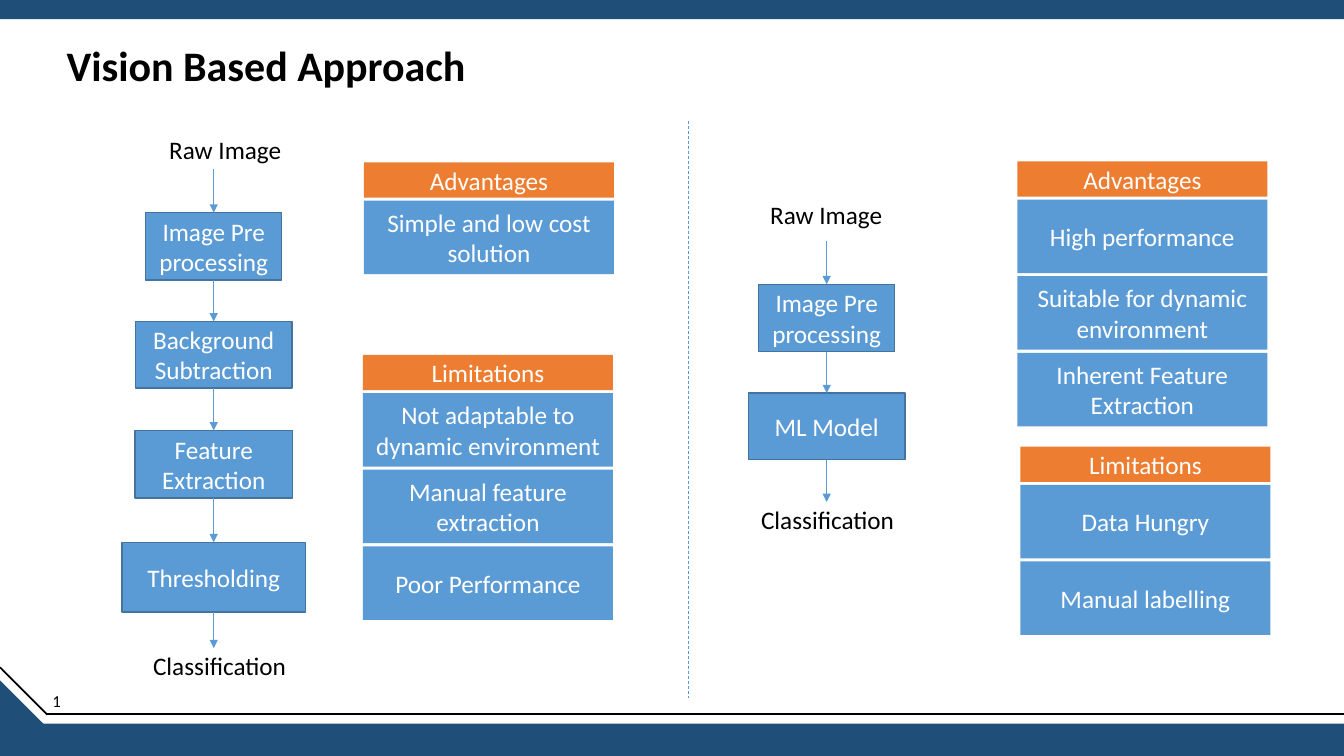
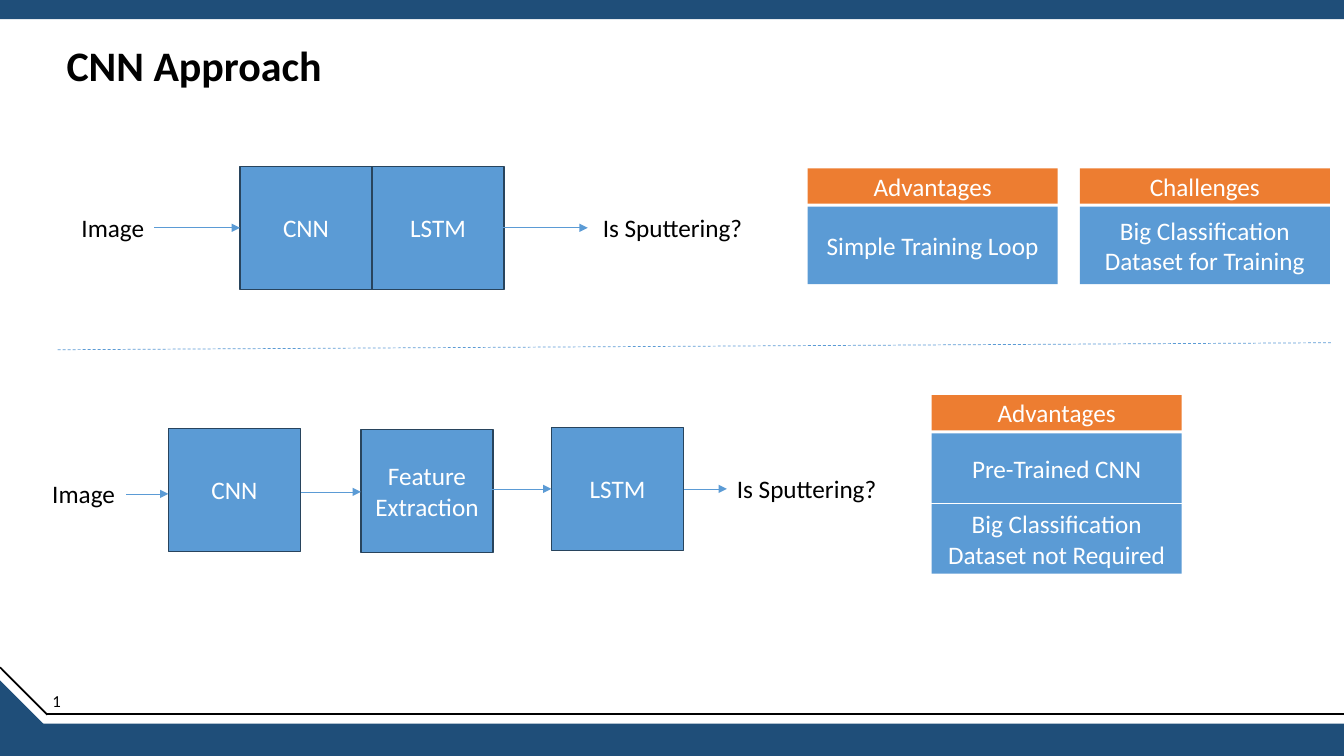
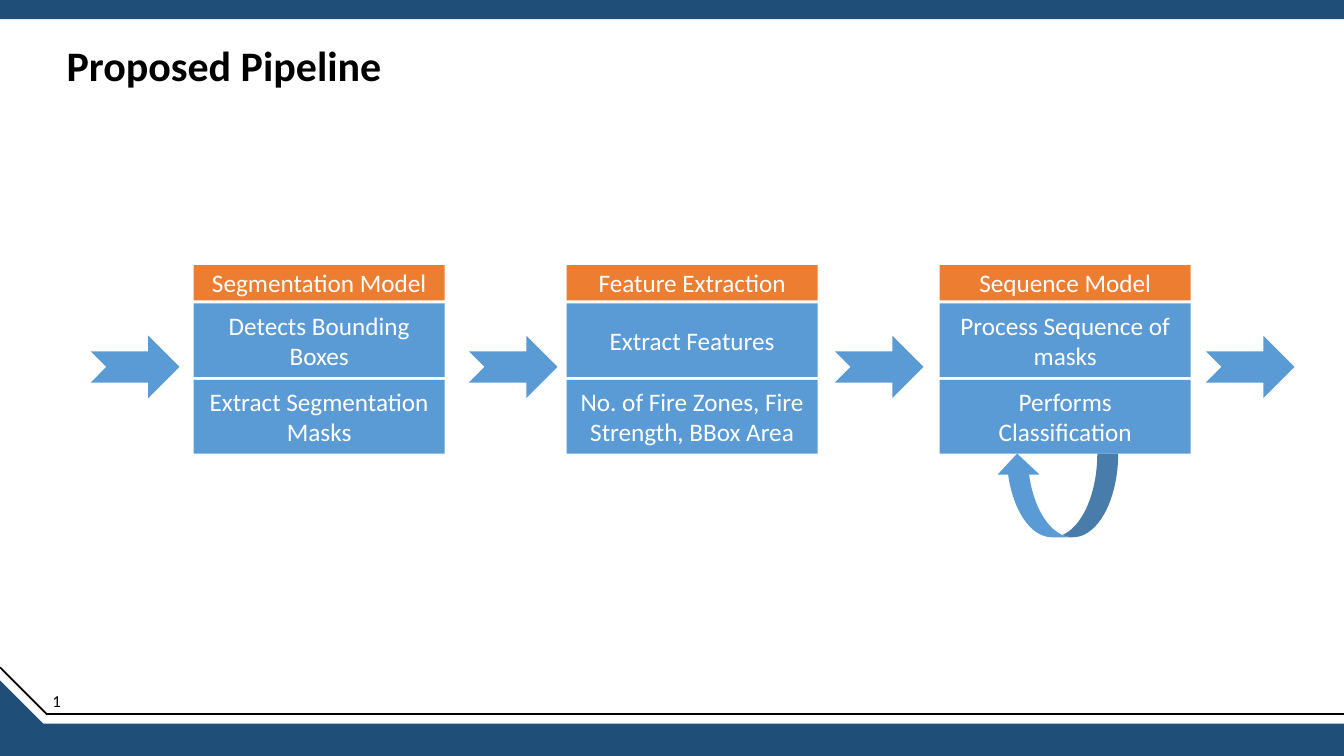
"""Build three slides on vision based approaches and a proposed pipeline."""
from dataclasses import dataclass
from lxml.etree import SubElement
from pptx import Presentation
from pptx.dml.color import RGBColor
from pptx.enum.dml import MSO_LINE
from pptx.enum.shapes import MSO_CONNECTOR, MSO_SHAPE
from pptx.enum.text import MSO_ANCHOR, MSO_AUTO_SIZE, PP_ALIGN
from pptx.oxml.ns import qn
from pptx.util import Inches, Pt


@dataclass(frozen=True)
class Theme:
    font: str = "Calibri"
    navy: str = "1F4E79"
    blue: str = "5B9BD5"
    orange: str = "ED7D31"
    edge: str = "43739E"
    dark: str = "28445D"
    black: str = "000000"
    white: str = "FFFFFF"
    title: int = 30
    body: int = 18
    small: int = 12
    thin: float = 0.5
    rule: float = 1.25


T = Theme()
WIDE, HIGH = 13.33, 7.5
HEAD, DROP = 0.35, 0.38
LABEL = 0.4
WIDTHS = {"Raw Image": 1.33, "Classification": 1.54, "Image": 0.83, "Is Sputtering?": 1.61}

FLOWS = [
    dict(mid=2.12, start=(1.58, 1.28), end=(1.42, 6.4), steps=[
        ("Image Pre processing", 2.11, 1.35, 0.67),
        ("Background Subtraction", 3.19, 1.55, 0.66),
        ("Feature Extraction", 4.27, 1.56, 0.67),
        ("Thresholding", 5.38, 1.82, 0.69)]),
    dict(mid=8.2, start=(7.54, 1.93), end=(7.45, 4.95), steps=[
        ("Image Pre processing", 2.82, 1.35, 0.67),
        ("ML Model", 3.9, 1.55, 0.66)]),
]
VISION = [
    (3.61, 1.61, "Advantages", ["Simple and low cost solution"]),
    (3.6, 3.52, "Limitations", ["Not adaptable to dynamic environment",
                                "Manual feature extraction", "Poor Performance"]),
    (10.09, 1.6, "Advantages", ["High performance", "Suitable for dynamic environment",
                                "Inherent Feature Extraction"]),
    (10.12, 4.43, "Limitations", ["Data Hungry", "Manual labelling"]),
]

NETS = [("CNN", 2.38, 1.65), ("LSTM", 3.69, 1.65), ("CNN", 1.67, 4.25),
        ("Feature Extraction", 3.58, 4.26), ("LSTM", 5.47, 4.24)]
LINKS = [(1.53, 2.38, 2.26), (4.99, 5.83, 2.26), (1.25, 1.67, 4.9),
         (2.99, 3.58, 4.88), (4.88, 5.47, 4.85), (6.78, 7.21, 4.85)]
ENDS = [("Image", 0.71, 2.06), ("Is Sputtering?", 5.88, 2.06),
        ("Image", 0.42, 4.7), ("Is Sputtering?", 7.21, 4.65)]
CNN = [
    (8.01, 1.67, "Advantages", ["Simple Training Loop"], 0.77, 0.77),
    (10.71, 1.67, "Challenges", ["Big Classification Dataset for Training"], 0.77, 0.77),
    (9.24, 3.92, "Advantages", ["Pre-Trained CNN",
                                "Big Classification Dataset not Required"], 0.69, 0.7),
]

STAGES = [
    ("Segmentation Model", ["Detects Bounding Boxes", "Extract Segmentation Masks"]),
    ("Feature Extraction", ["Extract Features", "No. of Fire Zones, Fire Strength, BBox Area"]),
    ("Sequence Model", ["Process Sequence of masks", "Performs Classification"]),
]
ARROWS = [0.9, 4.65, 8.28, 11.96]


def tint(code):
    return RGBColor.from_string(code)


def write(frame, text, size=T.body, color=T.white, bold=False, align=PP_ALIGN.CENTER,
          anchor=MSO_ANCHOR.MIDDLE, wrap=True, space=None):
    frame.word_wrap = wrap
    frame.auto_size = MSO_AUTO_SIZE.NONE
    frame.vertical_anchor = anchor
    para = frame.paragraphs[0]
    para.alignment = align
    para.line_spacing = space
    run = para.add_run()
    run.text = text
    font = run.font
    font.name, font.size, font.bold = T.font, Pt(size), bold
    font.color.rgb = tint(color)


def place(left, top, width, height):
    return [Inches(n) for n in (left, top, width, height)]


def block(slide, box, fill=T.blue, text="", edge=None, kind=MSO_SHAPE.RECTANGLE):
    shape = slide.shapes.add_shape(kind, *place(*box))
    shape.shadow.inherit = False
    shape.fill.solid()
    shape.fill.fore_color.rgb = tint(fill)
    if edge:
        shape.line.color.rgb = tint(edge)
        shape.line.width = Pt(1)
    else:
        shape.line.fill.background()
    if text:
        write(shape.text_frame, text)
    return shape


def label(slide, text, left, top, width, height=LABEL, **form):
    box = slide.shapes.add_textbox(*place(left, top, width, height))
    write(box.text_frame, text, color=T.black, align=PP_ALIGN.LEFT,
          anchor=MSO_ANCHOR.TOP, **form)


def line(slide, start, end, color=T.blue, width=T.thin, dash=False, arrow=False):
    link = slide.shapes.add_connector(
        MSO_CONNECTOR.STRAIGHT, *[Inches(n) for n in (*start, *end)])
    link.line.color.rgb = tint(color)
    link.line.width = Pt(width)
    if dash:
        link.line.dash_style = MSO_LINE.DASH
    props = link.element.spPr
    if arrow:
        SubElement(props.get_or_add_ln(), qn("a:tailEnd"), type="triangle")
    SubElement(props, qn("a:effectLst"))


def card(slide, left, top, head, items, high=0.73, step=0.76, wide=2.48):
    block(slide, (left, top, wide, HEAD), T.orange, head)
    for i, item in enumerate(items):
        block(slide, (left, top + DROP + i * step, wide, high), text=item)


def flow(slide, mid, start, end, steps):
    label(slide, "Raw Image", *start, WIDTHS["Raw Image"], wrap=False)
    last = steps[0][1] - 0.43
    for text, top, wide, high in steps:
        block(slide, (mid - wide / 2, top, wide, high), text=text, edge=T.edge)
        line(slide, (mid, last), (mid, top), arrow=True)
        last = top + high
    line(slide, (mid, last), (mid, end[1] + 0.03), arrow=True)
    label(slide, "Classification", *end, WIDTHS["Classification"], wrap=False)


def base(deck, text):
    slide = deck.slides.add_slide(deck.slide_layouts[5])
    title = slide.shapes.title
    title.left, title.top, title.width, title.height = place(0.56, 0.4, 11.86, 0.55)
    write(title.text_frame, text, size=T.title, color=T.black, bold=True,
          align=PP_ALIGN.LEFT, space=0.9)
    block(slide, (0, 7.18, WIDE, 0.32), T.navy)
    block(slide, (0, 0, WIDE, 0.19), T.navy)
    wedge = block(slide, (0, 6.75, 0.47, 0.47), T.navy, kind=MSO_SHAPE.ISOSCELES_TRIANGLE)
    wedge.adjustments[0] = 1
    wedge.rotation = 90
    line(slide, (0.47, 7.08), (WIDE, 7.08), T.black, T.rule)
    line(slide, (0, 6.62), (0.47, 7.09), T.black, T.rule)
    label(slide, "1", 0.42, 6.8, 0.28, 0.3, size=T.small)
    return slide


def vision(deck):
    slide = base(deck, "Vision Based Approach")
    for item in FLOWS:
        flow(slide, **item)
    line(slide, (6.83, 1.2), (6.83, 6.92), dash=True)
    for item in VISION:
        card(slide, *item)


def network(deck):
    slide = base(deck, "CNN Approach")
    line(slide, (13.2, 3.4), (0.57, 3.47), dash=True)
    for text, left, top in NETS:
        block(slide, (left, top, 1.31, 1.22), text=text, edge=T.dark)
    for left, right, top in LINKS:
        line(slide, (left, top), (right, top), arrow=True)
    for text, left, top in ENDS:
        label(slide, text, left, top, WIDTHS[text], wrap=False)
    for item in CNN:
        card(slide, *item)


def pipeline(deck):
    slide = base(deck, "Proposed Pipeline")
    for i, (head, items) in enumerate(STAGES):
        card(slide, 1.92 + i * 3.7, 2.63, head, items, wide=2.49)
    for left in ARROWS:
        block(slide, (left, 3.33, 0.88, 0.62), kind=MSO_SHAPE.NOTCHED_RIGHT_ARROW)
    loop = block(slide, (9.88, 4.5, 1.21, 0.83), kind=MSO_SHAPE.CURVED_DOWN_ARROW)
    loop.rotation = 180


def main():
    deck = Presentation()
    deck.slide_width, deck.slide_height = Inches(WIDE), Inches(HIGH)
    for build in (vision, network, pipeline):
        build(deck)
    deck.save("out.pptx")


if __name__ == "__main__":
    main()
